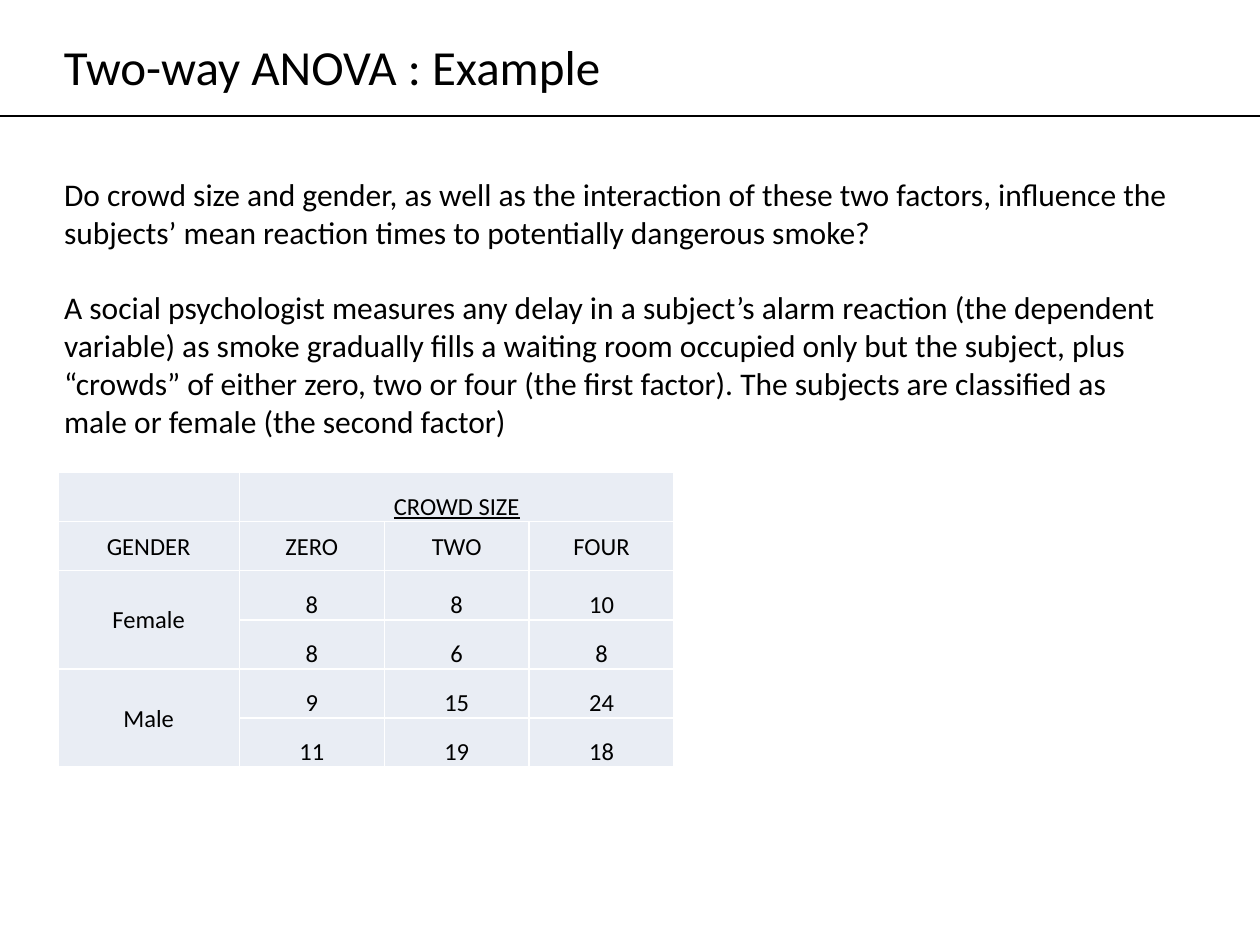
"""Build a slide that sets out a two-way ANOVA example with its data table."""
from lxml.etree import SubElement
from pptx import Presentation
from pptx.dml.color import RGBColor
from pptx.enum.shapes import MSO_CONNECTOR
from pptx.enum.text import MSO_ANCHOR, PP_ALIGN
from pptx.oxml.ns import qn
from pptx.util import Inches, Pt

FONT = "Calibri"
COLORS = {"ink": "000000", "cell": "E9EDF4", "edge": "FFFFFF"}
TITLE = "Two-way ANOVA : Example"
BODY = [
    "Do crowd size and gender, as well as the interaction of these two factors, "
    "influence the subjects’ mean reaction times to potentially dangerous smoke?",
    "A social psychologist measures any delay in a subject’s alarm reaction (the "
    "dependent variable) as smoke gradually fills a waiting room occupied only but "
    "the subject, plus “crowds” of either zero, two or four (the first factor). The "
    "subjects are classified as male or female (the second factor)",
]
ROWS = [
    ["", "CROWD SIZE", "", ""],
    ["GENDER", "ZERO", "TWO", "FOUR"],
    ["Female", "8", "8", "10"],
    ["", "8", "6", "8"],
    ["Male", "9", "15", "24"],
    ["", "11", "19", "18"],
]
WIDTHS = [1.44, 1.15, 1.15, 1.15]
HEIGHT = 0.39
MERGES = [((0, 1), (0, 3)), ((2, 0), (3, 0)), ((4, 0), (5, 0))]


def color(name):
    return RGBColor.from_string(COLORS[name])


def style(font, size):
    font.name = FONT
    font.size = Pt(size)
    font.color.rgb = color("ink")


def add_text(slide, box, lines, size, gap=0):
    frame = slide.shapes.add_textbox(*map(Inches, box)).text_frame
    frame.word_wrap = True
    frame.text = "\n".join(lines)
    for num, para in enumerate(frame.paragraphs):
        para.space_before = Pt(gap if num else 0)
        style(para.runs[0].font, size)


def add_rule(slide, top):
    rule = slide.shapes.add_connector(
        MSO_CONNECTOR.STRAIGHT, 0, Inches(top), Inches(10), Inches(top))
    rule.line.color.rgb = color("ink")
    rule.line.width = Pt(0.75)
    SubElement(rule._element.spPr, qn("a:effectLst"))


def add_edges(cell):
    props = cell._tc.get_or_add_tcPr()
    for side in ("lnL", "lnR", "lnT", "lnB"):
        line = SubElement(props, qn(f"a:{side}"), w=str(Pt(1)))
        fill = SubElement(line, qn("a:solidFill"))
        SubElement(fill, qn("a:srgbClr"), val=COLORS["edge"])


def fill_cell(cell, text, low):
    add_edges(cell)
    cell.fill.solid()
    cell.fill.fore_color.rgb = color("cell")
    cell.margin_left = cell.margin_right = cell.margin_top = Inches(0.01)
    cell.margin_bottom = 0
    cell.vertical_anchor = MSO_ANCHOR.BOTTOM if low else MSO_ANCHOR.MIDDLE
    cell.text = text
    para = cell.text_frame.paragraphs[0]
    para.alignment = PP_ALIGN.CENTER
    style(para.font, 14)
    for run in para.runs:
        style(run.font, 14)


def add_data(slide, left, top):
    table = slide.shapes.add_table(
        len(ROWS), len(WIDTHS), Inches(left), Inches(top),
        Inches(sum(WIDTHS)), Inches(HEIGHT * len(ROWS))).table
    table.first_row = table.horz_banding = False
    for col, width in zip(table.columns, WIDTHS):
        col.width = Inches(width)
    for y, row in enumerate(ROWS):
        table.rows[y].height = Inches(HEIGHT)
        for x, text in enumerate(row):
            fill_cell(table.cell(y, x), text, low=x > 0 and y != 1)
    for first, last in MERGES:
        table.cell(*first).merge(table.cell(*last))
    head = table.cell(0, 1).text_frame.paragraphs[0]
    head.runs[0].font.underline = True


def main():
    deck = Presentation()
    deck.slide_width, deck.slide_height = Inches(10), Inches(7.5)
    slide = deck.slides.add_slide(deck.slide_layouts[6])
    add_text(slide, (0.41, 0.24, 7.97, 0.57), [TITLE], 28)
    add_rule(slide, 0.92)
    add_text(slide, (0.41, 1.34, 9.01, 2.22), BODY, 18, gap=21.6)
    add_data(slide, 0.46, 3.75)
    deck.save("out.pptx")


if __name__ == "__main__":
    main()
